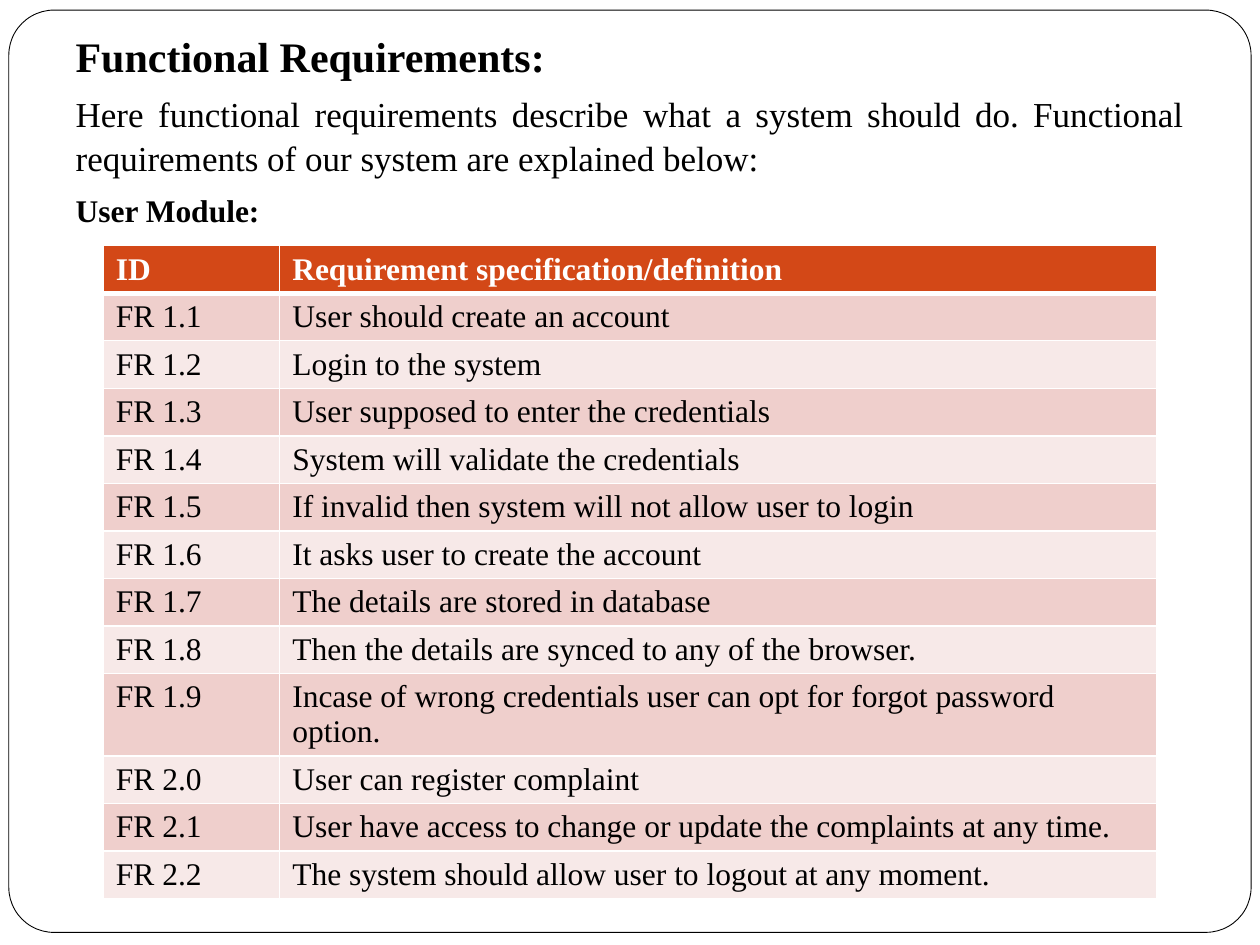
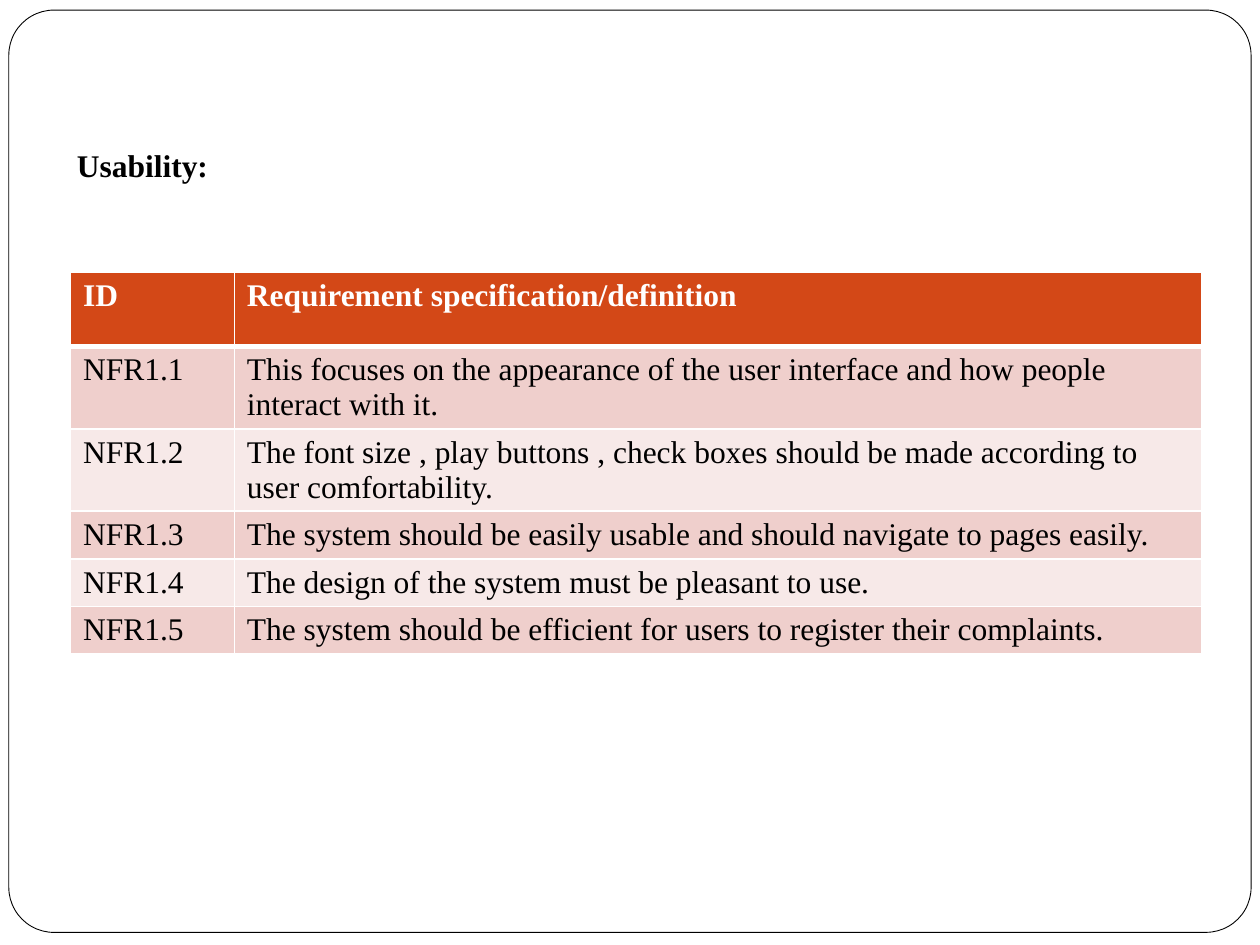
"""Build two requirement slides: a functional table and a usability table."""
from lxml import etree
from pptx import Presentation
from pptx.dml.color import RGBColor
from pptx.enum.shapes import MSO_SHAPE
from pptx.enum.text import MSO_ANCHOR, MSO_AUTO_SIZE, PP_ALIGN
from pptx.oxml.ns import qn
from pptx.util import Inches, Pt

ROUNDED = MSO_SHAPE.ROUNDED_RECTANGLE
TOP = MSO_ANCHOR.TOP
NO_AUTOFIT = MSO_AUTO_SIZE.NONE
LEFT, JUSTIFY = PP_ALIGN.LEFT, PP_ALIGN.JUSTIFY

FONT = "Times New Roman"
BLACK, WHITE = "000000", "FFFFFF"
HEADER_FILL = "D34817"
BAND_FILLS = ["EFCFCC", "F7E9E8"]
HEADER = ("ID", "Requirement specification/definition")
ROW_HEIGHT = 0.37

USER_REQUIREMENTS = [
    ("FR 1.1", "User should create an account"),
    ("FR 1.2", "Login to the system"),
    ("FR 1.3", "User supposed to enter the credentials"),
    ("FR 1.4", "System will validate the credentials"),
    ("FR 1.5", "If invalid then system will not allow user to login"),
    ("FR 1.6", "It asks user to create the account"),
    ("FR 1.7", "The details are stored in database"),
    ("FR 1.8", "Then the details are synced to any of the browser."),
    ("FR 1.9", "Incase of wrong credentials user can opt for forgot password option."),
    ("FR 2.0", "User can register complaint"),
    ("FR 2.1", "User have access to change or update the complaints at any time."),
    ("FR 2.2", "The system should allow user to logout at any moment."),
]
USABILITY_REQUIREMENTS = [
    ("NFR1.1", "This focuses on the appearance of the user interface and how people interact with it."),
    ("NFR1.2", "The font size , play buttons , check boxes should be made according to user comfortability."),
    ("NFR1.3", "The system should be easily usable and should navigate to pages easily."),
    ("NFR1.4", "The design of the system must be pleasant to use."),
    ("NFR1.5", "The system should be efficient for users to register their complaints."),
]
INTRODUCTION = [
    ("Functional Requirements:", 24, True),
    ("Here functional requirements describe what a system should do. "
     "Functional requirements of our system are explained below:", 20, False),
    ("User Module:", 18, True),
]


def color(hex_value):
    """Turn a hex string into a colour."""
    return RGBColor.from_string(hex_value)


def style(paragraph, size, bold, hex_value=BLACK):
    """Set the font of a whole paragraph."""
    font = paragraph.font
    font.name, font.size, font.bold = FONT, Pt(size), bold
    font.color.rgb = color(hex_value)


prs = Presentation()
prs.slide_width, prs.slide_height = Inches(10), Inches(7.5)

functional = prs.slides.add_slide(prs.slide_layouts[1])
usability = prs.slides.add_slide(prs.slide_layouts[5])

frame = functional.shapes.add_shape(ROUNDED, Inches(0.07), Inches(0.08), Inches(9.86), Inches(7.32))
frame.adjustments[0] = 0.049
frame.shadow.inherit = False
frame.fill.solid()
frame.fill.fore_color.rgb = color(WHITE)
frame.line.color.rgb = color(BLACK)
frame.line.width = Pt(0.5)
frame.element.nvSpPr.cNvPr.set("id", "100")
prs.slide_master.shapes.element.insert(2, frame.element)

unused_title = functional.shapes.title.element
unused_title.getparent().remove(unused_title)

introduction = functional.placeholders[1]
introduction.left, introduction.top = Inches(0.5), Inches(0.17)
introduction.width, introduction.height = Inches(9), Inches(6.58)
introduction.text_frame.auto_size = NO_AUTOFIT
introduction.text_frame.text = "\n".join(text for text, _, _ in INTRODUCTION)
for index, (paragraph, (_, size, bold)) in enumerate(zip(introduction.text_frame.paragraphs, INTRODUCTION)):
    properties = paragraph._p.get_or_add_pPr()
    properties.set("marL", "0")
    properties.set("indent", "0")
    etree.SubElement(properties, qn("a:buNone"))
    paragraph.alignment = JUSTIFY
    paragraph.line_spacing = 1.05
    paragraph.space_before = Pt(5.8 if index else 0)
    style(paragraph, size, bold)

heading = usability.shapes.title
heading.left, heading.top = Inches(0.51), Inches(1.11)
heading.width, heading.height = Inches(2.01), Inches(0.4)
heading.text_frame.text = "Usability:"
heading.text_frame.auto_size = NO_AUTOFIT
heading.text_frame.vertical_anchor = TOP
heading.text_frame.paragraphs[0].alignment = LEFT
style(heading.text_frame.paragraphs[0], 18, True)

TABLES = [
    (functional, USER_REQUIREMENTS, 0.82, 1.95, (1.4, 6.96), ROW_HEIGHT),
    (usability, USABILITY_REQUIREMENTS, 0.56, 2.16, (1.3, 7.68), 0.59),
]
for slide, requirements, left, top, widths, header_height in TABLES:
    rows = [HEADER] + requirements
    height = header_height + ROW_HEIGHT * len(requirements)
    table = slide.shapes.add_table(
        len(rows), len(widths), Inches(left), Inches(top), Inches(sum(widths)), Inches(height)
    ).table
    for column, width in zip(table.columns, widths):
        column.width = Inches(width)
    for row_index, texts in enumerate(rows):
        is_header = row_index == 0
        table.rows[row_index].height = Inches(header_height if is_header else ROW_HEIGHT)
        fill = HEADER_FILL if is_header else BAND_FILLS[(row_index - 1) % 2]
        borders = {"L": 1, "R": 1, "T": 3 if row_index == 1 else 1, "B": 3 if is_header else 1}
        for column_index, text in enumerate(texts):
            cell = table.cell(row_index, column_index)
            cell.text = text
            style(cell.text_frame.paragraphs[0], 18, is_header, WHITE if is_header else BLACK)
            cell_properties = cell._tc.get_or_add_tcPr()
            for side, points in borders.items():
                border = etree.SubElement(cell_properties, qn(f"a:ln{side}"), w=str(Pt(points)))
                border_fill = etree.SubElement(border, qn("a:solidFill"))
                etree.SubElement(border_fill, qn("a:srgbClr"), val=WHITE)
            cell.fill.solid()
            cell.fill.fore_color.rgb = color(fill)

prs.save("out.pptx")
